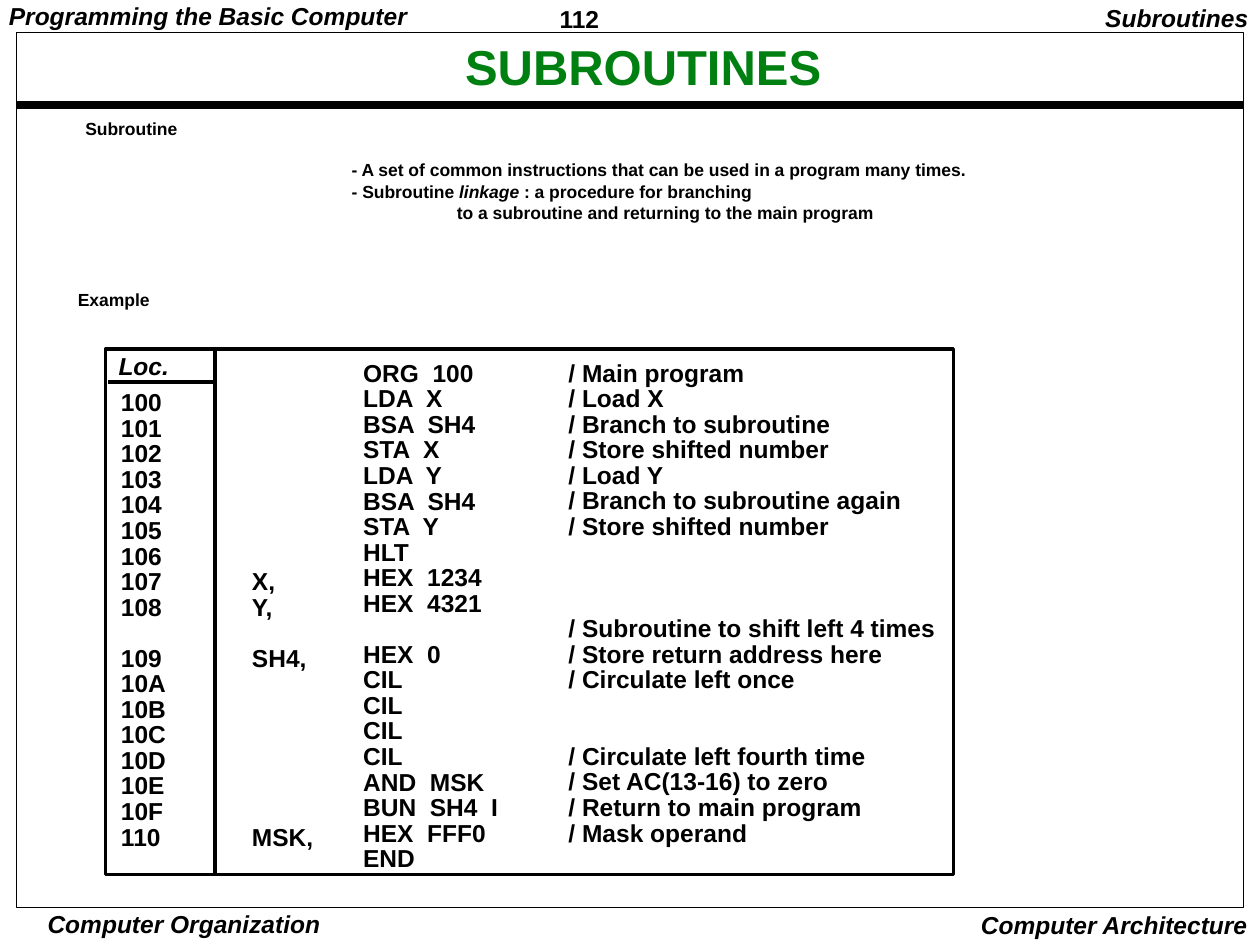
from lxml.etree import SubElement
from pptx import Presentation
from pptx.dml.color import RGBColor
from pptx.enum.shapes import MSO_CONNECTOR, MSO_SHAPE
from pptx.enum.text import MSO_ANCHOR, MSO_AUTO_SIZE as Fit, PP_ALIGN as Align
from pptx.oxml.ns import qn
from pptx.util import Cm, Pt

BLACK = RGBColor(0, 0, 0)
GREEN = RGBColor(0x00, 0x80, 0x11)
FONT = "Arial"
TIGHT, SLIM, WIDE = (0.08, 0.03), (0.18, 0.08), (0.25, 0.13)
STEP = Pt(14.6)  # height of one line of code

# Location, label, instruction, comment
CODE = [
    ("", "", "ORG  100", "/ Main program"),
    ("100", "", "LDA  X", "/ Load X"),
    ("101", "", "BSA  SH4", "/ Branch to subroutine"),
    ("102", "", "STA  X", "/ Store shifted number"),
    ("103", "", "LDA  Y", "/ Load Y"),
    ("104", "", "BSA  SH4", "/ Branch to subroutine again"),
    ("105", "", "STA  Y", "/ Store shifted number"),
    ("106", "", "HLT", ""),
    ("107", "X,", "HEX  1234", ""),
    ("108", "Y,", "HEX  4321", ""),
    ("", "", "", "/ Subroutine to shift left 4 times"),
    ("109", "SH4,", "HEX  0", "/ Store return address here"),
    ("10A", "", "CIL", "/ Circulate left once"),
    ("10B", "", "CIL", ""),
    ("10C", "", "CIL", ""),
    ("10D", "", "CIL", "/ Circulate left fourth time"),
    ("10E", "", "AND  MSK", "/ Set AC(13-16) to zero"),
    ("10F", "", "BUN  SH4  I", "/ Return to main program"),
    ("110", "MSK,", "HEX  FFF0", "/ Mask operand"),
    ("", "", "END", ""),
]


def style(font, size, slant=False, color=BLACK):
    font.name, font.size, font.bold, font.italic = FONT, Pt(size), True, slant
    font.color.rgb = color


def text(slide, box, words, size=14, gap=0.9, pad=SLIM, align=Align.LEFT,
         slant=False, color=BLACK):
    """Add bold text; gap is the line spacing, pad the inner margins."""
    frame = slide.shapes.add_textbox(*map(Cm, box)).text_frame
    frame.word_wrap = False
    frame.auto_size = Fit.SHAPE_TO_FIT_TEXT
    frame.margin_left = frame.margin_right = Cm(pad[0])
    frame.margin_top = frame.margin_bottom = Cm(pad[1])
    frame.text = words
    for para in frame.paragraphs:
        para.alignment, para.line_spacing = align, gap
        for run in para.runs:
            style(run.font, size, slant, color)
    return frame


def line(slide, start, end, width):
    link = slide.shapes.add_connector(
        MSO_CONNECTOR.STRAIGHT, *map(Cm, start + end))
    link.line.color.rgb, link.line.width = BLACK, Pt(width)
    SubElement(link._element.spPr, qn("a:effectLst"))


def outline(slide, box, width):
    rect = slide.shapes.add_shape(MSO_SHAPE.RECTANGLE, *map(Cm, box))
    rect.shadow.inherit = False
    rect.fill.background()
    rect.line.color.rgb, rect.line.width = BLACK, Pt(width)


def page(slide, box):
    """Border, title, and the running heads and feet around them."""
    x, y, w, h = box
    right, foot = x + w, y + h
    # Border and title
    line(slide, (x, y + 1.45), (right, y + 1.45), 4.5)
    outline(slide, box, 0.5)
    title = text(slide, (x + 1.93, y + 0.15, 21.41, 1.17), "SUBROUTINES",
                 28, pad=WIDE, align=Align.CENTER, color=GREEN)
    title.word_wrap, title.auto_size = True, Fit.NONE
    title.vertical_anchor = MSO_ANCHOR.MIDDLE
    # Heads
    text(slide, (x - 0.33, y - 0.66, 8.8, 0.69),
         "Programming the Basic Computer", slant=True)
    text(slide, (x + 10.77, y - 0.66, 2.74, 0.74), "112", gap=1.01)
    text(slide, (right - 3.05, y - 0.66, 3.4, 0.79), "Subroutines",
         pad=WIDE, align=Align.RIGHT, slant=True)
    # Feet
    text(slide, (x + 0.36, foot, 6.04, 0.66), "Computer Organization",
         gap=1.0, pad=TIGHT, align=Align.CENTER, slant=True)
    text(slide, (right - 5.56, foot - 0.08, 5.89, 0.84),
         "Computer Architecture", gap=1.0, pad=WIDE, align=Align.RIGHT,
         slant=True)


def notes(slide, box):
    """Section names and the definition of a subroutine."""
    x, y, w, h = box
    text(slide, (x + 0.15, y, 2.5, 0.64), "Subroutine", 10, pad=WIDE)
    text(slide, (x, y + h - 0.64, 2.1, 0.64), "Example", 10, pad=WIDE)
    body = text(
        slide, (x + 5.59, y + 0.83, w - 5.59, 1.42),
        "- A set of common instructions that can be used in a program "
        "many times.\n- Subroutine \n"
        "to a subroutine and returning to the main program",
        10, Pt(12.3))
    mid, last = body.paragraphs[1:]
    for words, slant in (("linkage ", True),
                         (": a procedure for branching", False)):
        run = mid.add_run()
        run.text = words
        style(run.font, 10, slant)
    last._p.get_or_add_pPr().set("marL", str(Cm(2.12)))


def column(slide, x, y, w, cells):
    """Stack the filled cells, each on its own row of the listing."""
    rows = [i for i, cell in enumerate(cells) if cell]
    span = rows[-1] - rows[0] + 1
    box = (x, y + rows[0] * STEP.cm, w, span * STEP.cm + 0.16)
    body = text(slide, box, "\n".join(cells[i] for i in rows), gap=STEP)
    for para, prev, row in zip(body.paragraphs[1:], rows, rows[1:]):
        para.space_before = (row - prev - 1) * STEP


def listing(slide, box):
    """Assembly program in a ruled box."""
    x, y, w, h = box
    places = [(0.13, 0.25, 1.5), (2.77, 0.25, 2.2),
              (5.01, 0.17, 3.6), (9.15, 0.17, 8.2)]
    for (dx, dy, wide), cells in zip(places, zip(*CODE)):
        column(slide, x + dx, y + dy, wide, cells)
    text(slide, (x + 0.08, y, 1.7, 0.71), "Loc.", gap=0.97, slant=True)
    # Outline and rules
    outline(slide, box, 2)
    line(slide, (x + 2.21, y), (x + 2.21, y + h), 2.25)
    line(slide, (x + 0.05, y + 0.66), (x + 2.21, y + 0.66), 2.25)


def main():
    deck = Presentation()
    deck.slide_width, deck.slide_height = Cm(25.4), Cm(19.05)
    slide = deck.slides.add_slide(deck.slide_layouts[6])
    page(slide, (0.33, 0.66, 24.74, 17.63))
    notes(slide, (1.32, 2.29, 18.6, 4.09))
    listing(slide, (2.13, 7.04, 17.09, 10.59))
    deck.save("out.pptx")


if __name__ == "__main__":
    main()
